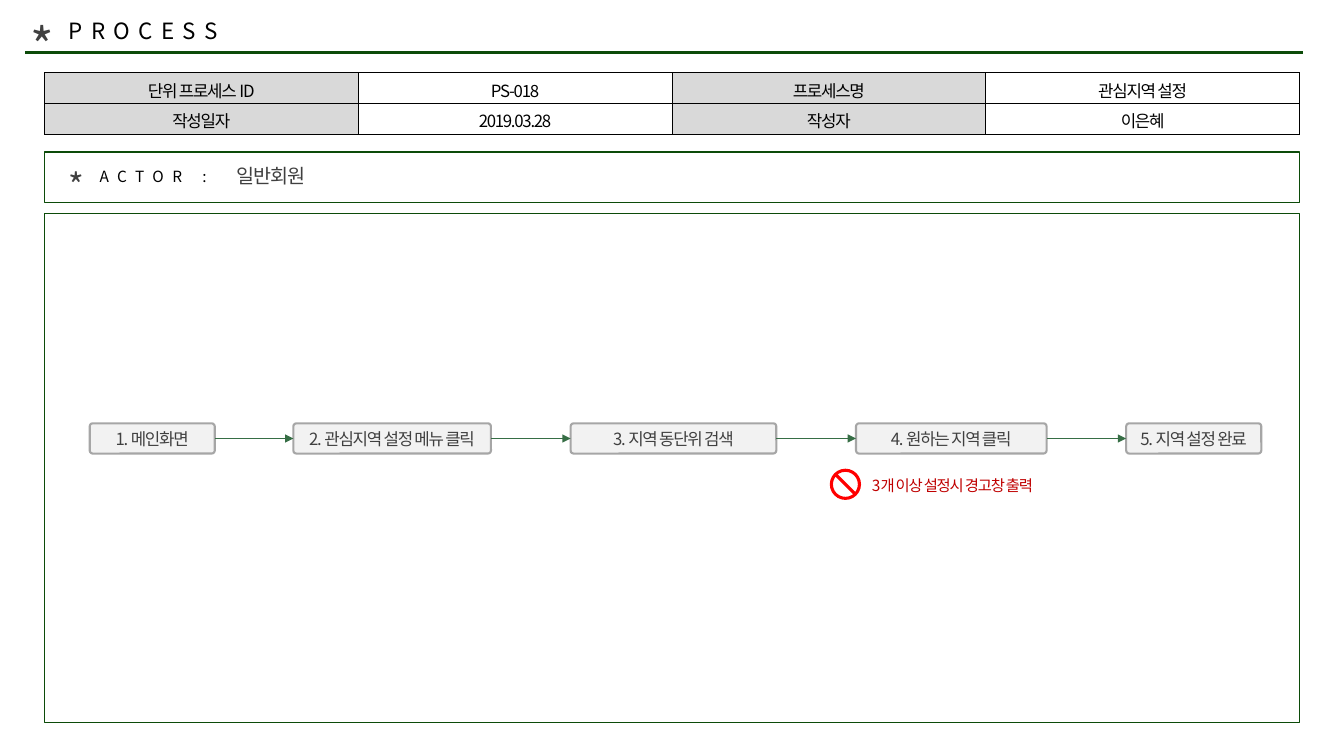
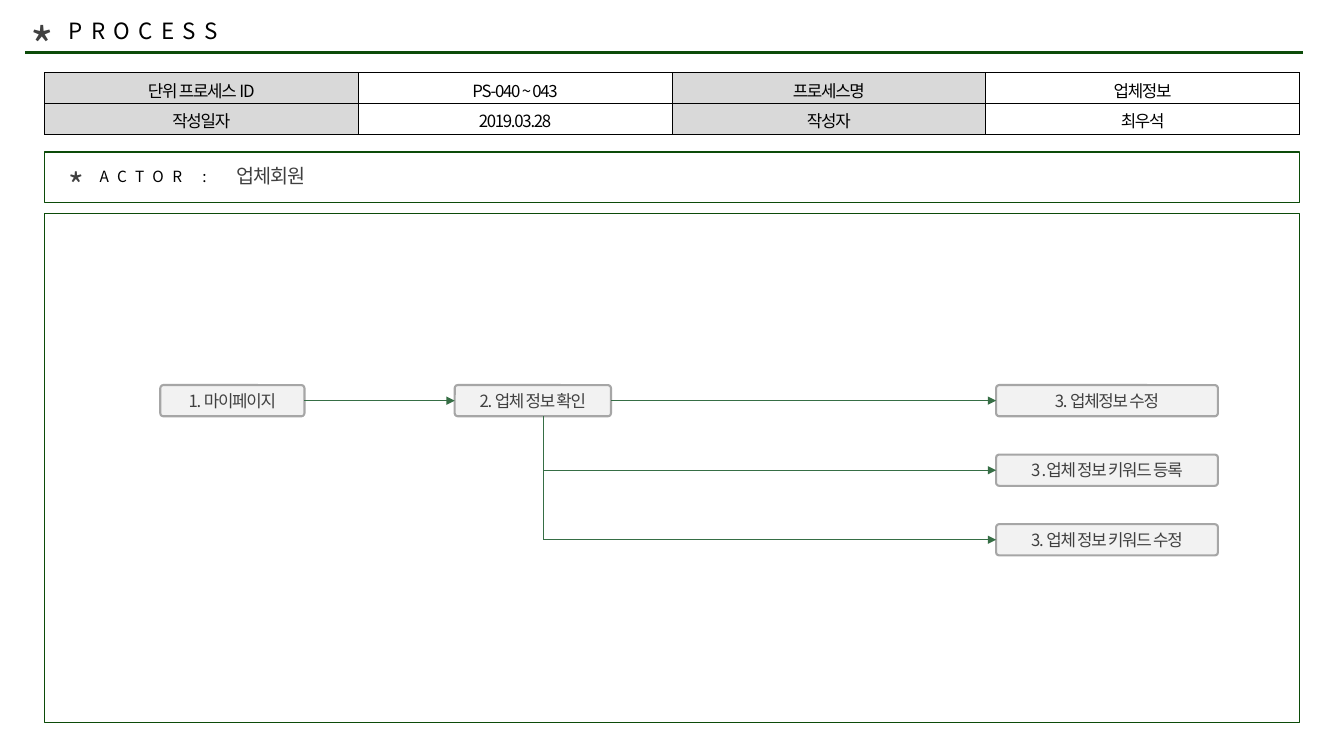
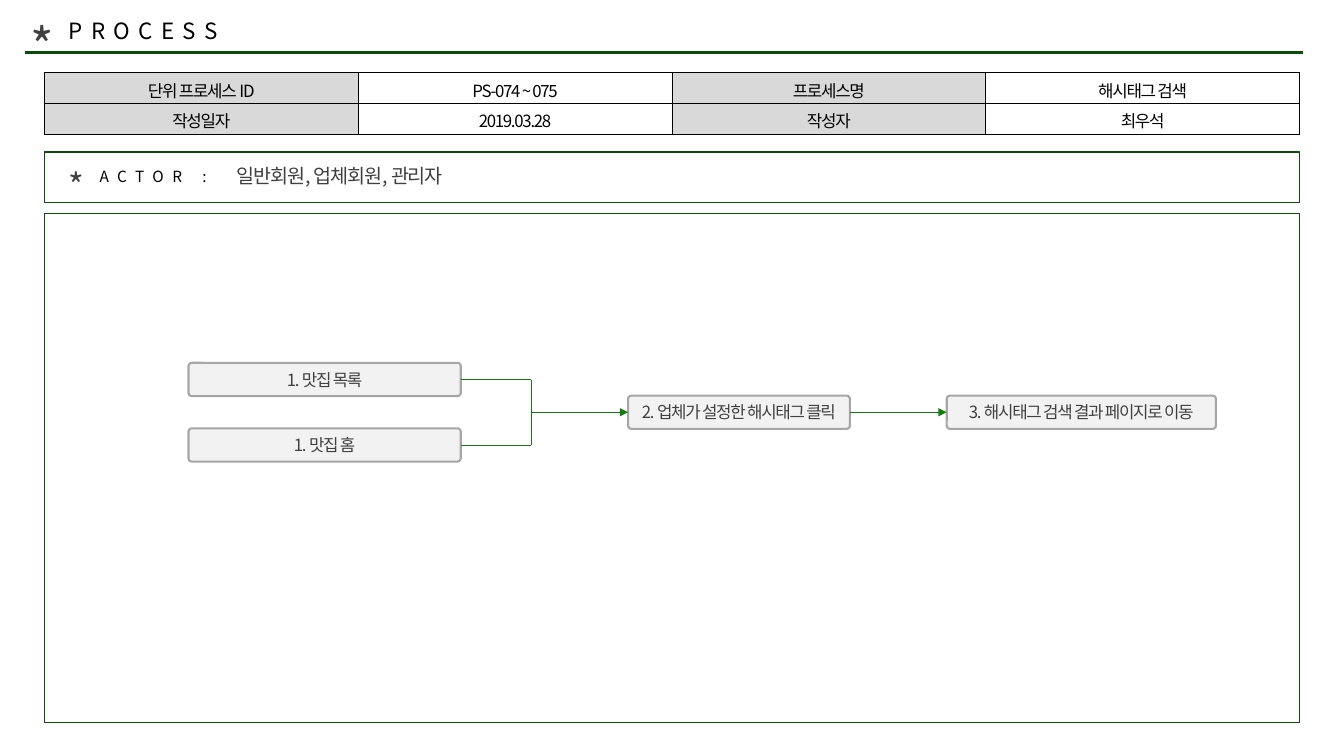
from lxml import etree
from pptx import Presentation
from pptx.dml.color import RGBColor
from pptx.enum import shapes as es, text as et
from pptx.oxml.ns import qn
from pptx.util import Inches, Pt

FONT = "Noto Sans CJK KR"
COLORS = {
    "frame": "0C4B09", "arrow": "366E45", "bright": "147B0F",
    "black": "000000", "gray": "404040", "label": "D9D9D9",
    "box": "F2F2F2", "edge": "A6A6A6", "stop": "FF0000", "warning": "C00000",
}
TIGHT, WIDE = -0.9, 6
LEFT, WIDTH = 0.44, 12.45
LEFT_SITE, RIGHT_SITE = 1, 3


def rgb(name):
    return RGBColor.from_string(COLORS[name])


def write(tf, value, size, color, spacing=TIGHT, align=None):
    """Set one paragraph with its font and letter spacing in points."""
    tf.text = value
    p = tf.paragraphs[0]
    p.alignment = align
    r = p.runs[0]
    r.font.size = Pt(size)
    r.font.color.rgb = rgb(color)
    r.font.name = FONT
    rPr = r._r.get_or_add_rPr()
    rPr.set("spc", str(round(spacing * 100)))
    etree.SubElement(rPr, qn("a:ea")).set("typeface", FONT)


def add_label(s, value, x, y, w, h, size, color="gray", spacing=TIGHT):
    tf = s.shapes.add_textbox(Inches(x), Inches(y), Inches(w), Inches(h)).text_frame
    tf.word_wrap = True
    tf.auto_size = et.MSO_AUTO_SIZE.SHAPE_TO_FIT_TEXT
    write(tf, value, size, color, spacing)


def add_shape(s, kind, x, y, w, h, fill=None, line=None, line_width=1):
    sp = s.shapes.add_shape(kind, Inches(x), Inches(y), Inches(w), Inches(h))
    sp.shadow.inherit = False
    if fill:
        sp.fill.solid()
        sp.fill.fore_color.rgb = rgb(fill)
    else:
        sp.fill.background()
    if line:
        sp.line.color.rgb = rgb(line)
        sp.line.width = Pt(line_width)
    else:
        sp.line.fill.background()
    return sp


def add_frame(s, y, h):
    add_shape(s, es.MSO_SHAPE.RECTANGLE, LEFT, y, WIDTH, h, line="frame")


def add_step(s, value, x, y, w, h):
    sp = add_shape(s, es.MSO_SHAPE.ROUNDED_RECTANGLE, x, y, w, h, "box", "edge", 1.5)
    sp.adjustments[0] = 0.1
    tf = sp.text_frame
    tf.margin_left = tf.margin_right = tf.margin_top = tf.margin_bottom = Inches(0.04)
    tf.vertical_anchor = et.MSO_ANCHOR.MIDDLE
    write(tf, value, 12, "gray", align=et.PP_ALIGN.CENTER)
    return sp


def add_line(s, x1, y1, x2, y2, color="arrow", width=0.5, head=False):
    cxn = s.shapes.add_connector(es.MSO_CONNECTOR.STRAIGHT,
                                 Inches(x1), Inches(y1), Inches(x2), Inches(y2))
    cxn.line.color.rgb = rgb(color)
    cxn.line.width = Pt(width)
    spPr = cxn.element.spPr
    if head:
        etree.SubElement(spPr.find(qn("a:ln")), qn("a:tailEnd")).set("type", "triangle")
    etree.SubElement(spPr, qn("a:effectLst"))
    return cxn


def add_arrow(s, start, end, color="arrow"):
    """Point an arrow at the left of a step, from another step or an (x, y) point."""
    x, y = start if isinstance(start, tuple) else (0, 0)
    cxn = add_line(s, x, y, x, y, color, head=True)
    if not isinstance(start, tuple):
        cxn.begin_connect(start, RIGHT_SITE)
    cxn.end_connect(end, LEFT_SITE)


def set_borders(cell):
    tcPr = cell._tc.get_or_add_tcPr()
    for side in ("lnL", "lnR", "lnT", "lnB"):
        ln = etree.SubElement(tcPr, qn("a:" + side), w=str(Pt(0.5)))
        fill = etree.SubElement(ln, qn("a:solidFill"))
        etree.SubElement(fill, qn("a:srgbClr")).set("val", COLORS["black"])


def add_info_table(s, rows):
    table = s.shapes.add_table(2, 4, Inches(LEFT), Inches(0.72),
                               Inches(WIDTH), Inches(0.61)).table
    table.first_row = table.horz_banding = False
    for i, row in enumerate(rows):
        for j, value in enumerate(row):
            cell = table.cell(i, j)
            set_borders(cell)
            if j % 2 == 0:
                cell.fill.solid()
                cell.fill.fore_color.rgb = rgb("label")
            else:
                cell.fill.background()
            cell.vertical_anchor = et.MSO_ANCHOR.MIDDLE
            write(cell.text_frame, value, 12, "black", align=et.PP_ALIGN.CENTER)


def add_title(s):
    title = s.shapes.title
    title.left, title.top = Inches(0.58), Inches(0.12)
    title.width, title.height = Inches(4.32), Inches(0.37)
    tf = title.text_frame
    tf.vertical_anchor = et.MSO_ANCHOR.TOP
    tf.auto_size = et.MSO_AUTO_SIZE.SHAPE_TO_FIT_TEXT
    write(tf, "PROCESS", 16, "black", WIDE, et.PP_ALIGN.LEFT)


def add_process_slide(prs, process_id, name, author, actor):
    """Add a slide with the parts that every process sheet has."""
    s = prs.slides.add_slide(prs.slide_layouts[5])
    add_title(s)
    add_label(s, "*", 0.2, 0.1, 0.52, 0.71, 36)
    add_info_table(s, [("단위 프로세스 ID", process_id, "프로세스명", name),
                       ("작성일자", "2019.03.28", "작성자", author)])
    add_label(s, "*", 0.58, 1.59, 0.52, 0.5, 24)
    add_label(s, "ACTOR :", 0.89, 1.61, 1.33, 0.29, 11, "black", WIDE)
    add_frame(s, 1.51, 0.5)
    add_label(s, actor, 2.25, 1.58, 4.32, 0.34, 14)
    add_frame(s, 2.12, 5.05)
    return s


def add_layout_rule(prs, s):
    """Draw the line under the title and move it to the shared layout."""
    rule = add_line(s, 0.25, 0.52, 12.92, 0.52, "frame", 2.25)
    prs.slide_layouts[5].shapes.element.append(rule.element)


def build_region_slide(prs):
    s = add_process_slide(prs, "PS-018", "관심지역 설정", "이은혜", "일반회원")
    add_layout_rule(prs, s)
    steps = [add_step(s, value, x, 4.2, w, 0.3) for value, x, w in (
        ("1. 메인화면", 0.89, 1.24),
        ("2. 관심지역 설정 메뉴 클릭", 2.91, 1.96),
        ("3. 지역 동단위 검색", 5.66, 2.04),
        ("4. 원하는 지역 클릭", 8.49, 1.89),
        ("5. 지역 설정 완료", 11.17, 1.34),
    )]
    for start, end in zip(steps, steps[1:]):
        add_arrow(s, start, end)
    stop = add_shape(s, es.MSO_SHAPE.NO_SYMBOL, 8.23, 4.65, 0.31, 0.31, "stop")
    stop.adjustments[0] = 0.1
    add_label(s, "3개 이상 설정시 경고창 출력", 8.55, 4.67, 2.61, 0.29, 11, "warning")


def build_company_slide(prs):
    s = add_process_slide(prs, "PS-040 ~ 043", "업체정보", "최우석", "업체회원")
    top, h, pitch, trunk = 3.82, 0.31, 0.69, 5.39
    my_page = add_step(s, "1. 마이페이지", 1.59, top, 1.43, h)
    check = add_step(s, "2. 업체 정보 확인", 4.51, top, 1.55, h)
    add_arrow(s, my_page, check)
    add_line(s, trunk, top + h, trunk, top + 2 * pitch + h / 2)
    results = ("3. 업체정보 수정", "3 .업체 정보 키워드 등록", "3. 업체 정보 키워드 수정")
    for i, value in enumerate(results):
        y = top + i * pitch
        result = add_step(s, value, 9.88, y, 2.2, h)
        add_arrow(s, (trunk, y + h / 2) if i else check, result)


def build_hashtag_slide(prs):
    s = add_process_slide(prs, "PS-074 ~ 075", "해시태그 검색", "최우석",
                          "일반회원, 업체회원, 관리자")
    h, join, middle = 0.33, 5.27, 4.09
    tops = (3.6, 4.25)
    for value, y in zip(("1. 맛집 목록", "1. 맛집 홈"), tops):
        add_step(s, value, 1.87, y, 2.7, h)
        add_line(s, 4.57, y + h / 2, join, y + h / 2, "bright")
    add_line(s, join, tops[0] + h / 2, join, tops[1] + h / 2, "bright")
    click = add_step(s, "2. 업체가 설정한 해시태그 클릭", 6.23, middle - h / 2, 2.2, h)
    result = add_step(s, "3. 해시태그 검색 결과 페이지로 이동", 9.39, middle - h / 2, 2.67, h)
    add_arrow(s, (join, middle), click, "bright")
    add_arrow(s, click, result, "bright")


def main():
    prs = Presentation()
    prs.slide_width, prs.slide_height = Inches(13.33), Inches(7.5)
    build_region_slide(prs)
    build_company_slide(prs)
    build_hashtag_slide(prs)
    prs.save("out.pptx")


if __name__ == "__main__":
    main()
